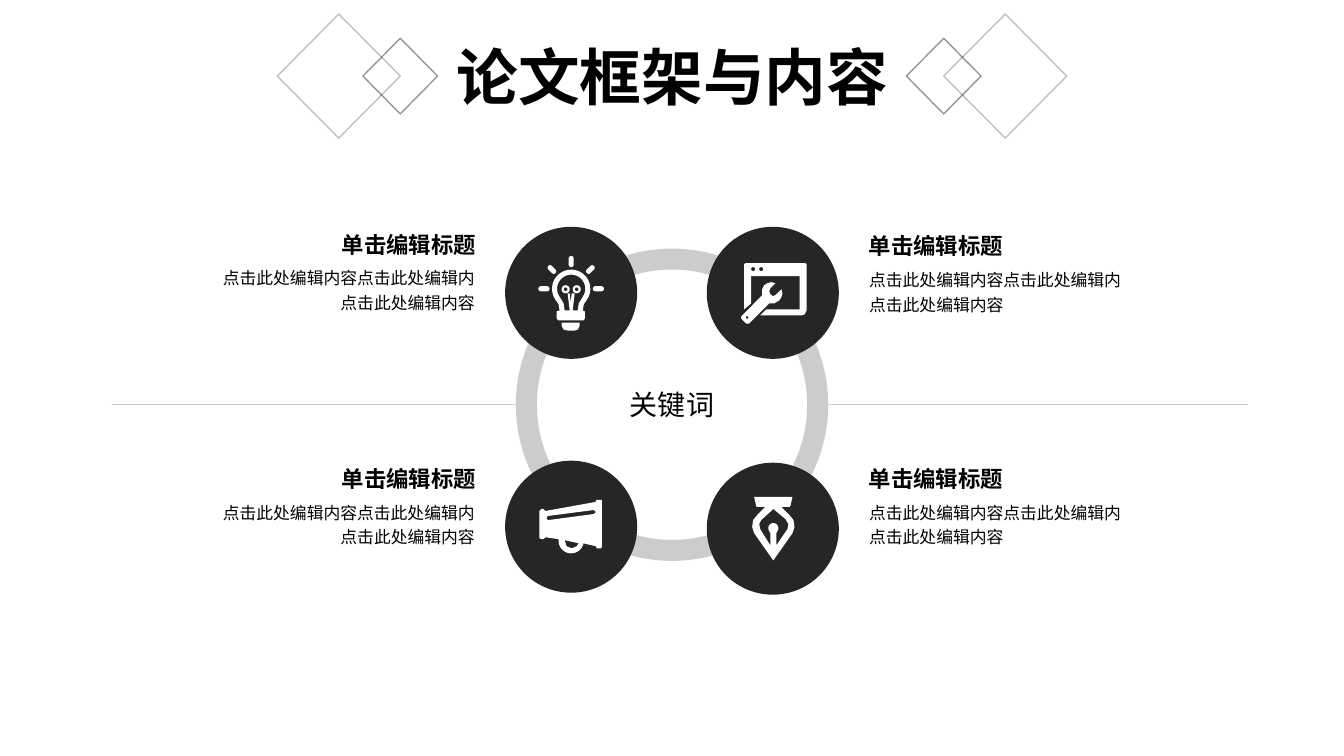
from dataclasses import dataclass
from math import atan2, cos, pi, radians, sin

from lxml import etree
from pptx import Presentation
from pptx.dml.color import RGBColor
from pptx.enum import shapes, text
from pptx.oxml import ns
from pptx.util import Inches, Pt

BLACK = RGBColor(0x00, 0x00, 0x00)
WHITE = RGBColor(0xFF, 0xFF, 0xFF)
DARK = RGBColor(0x26, 0x26, 0x26)
OUTLINE = RGBColor(0x1C, 0x1C, 0x1C)
GREY = RGBColor(0xCC, 0xCC, 0xCC)
PAGE_WIDTH, PAGE_HEIGHT = 13.33, 7.5
DISC = 1.31
TITLE_FONT, TEXT_FONT = "Noto Sans CJK SC", "Arial"
LEFT, CENTER, RIGHT = text.PP_ALIGN.LEFT, text.PP_ALIGN.CENTER, text.PP_ALIGN.RIGHT

Point = tuple[float, float]
Contour = list[Point]


@dataclass
class Diamond:
    left: float
    top: float
    width: float
    height: float
    opacity: int


@dataclass
class Topic:
    holder: int
    disc: Point
    heading_at: Point
    body_at: Point
    body_width: float
    align: text.PP_ALIGN
    icon: list[Contour]


# Icon geometry, in inches on the slide
def arc(x: float, y: float, radius: float, start: float = 0, end: float = 360) -> Contour:
    steps = 24
    angles = [radians(start + (end - start) * i / steps) for i in range(steps + 1)]
    return [(x + radius * cos(a), y + radius * sin(a)) for a in angles]


def capsule(x1: float, y1: float, x2: float, y2: float, radius: float = 0.025) -> Contour:
    turn = atan2(y2 - y1, x2 - x1) * 180 / pi
    return (arc(x1, y1, radius, turn + 90, turn + 270)
            + arc(x2, y2, radius, turn - 90, turn + 90))


def bulb_icon() -> list[Contour]:
    x, y = 5.665, 2.865
    rays = []
    for angle in range(180, 361, 45):
        dx, dy = cos(radians(angle)), sin(radians(angle))
        inner, outer = (0.24, 0.30) if angle % 90 == 0 else (0.245, 0.295)
        rays.append(capsule(x + inner * dx, y + inner * dy, x + outer * dx, y + outer * dy))
    glass = arc(x, y, 0.19, 145, 395) + [
        (5.79, 3.02), (5.78, 3.08), (5.8, 3.09), (5.8, 3.16), (5.79, 3.18),
        (5.54, 3.18), (5.52, 3.16), (5.52, 3.09), (5.55, 3.08), (5.54, 3.02)]
    hollow = arc(x, y, 0.14, 145, 395) + [
        (5.74, 3.01), (5.73, 3.08), (5.6, 3.08), (5.59, 3.01)]
    filament = [(5.63, 2.91), (5.65, 3.08), (5.68, 3.08), (5.7, 2.91),
                (5.67, 2.91), (5.66, 3.0), (5.65, 2.91)]
    loops = [arc(cx, 2.87, r) for cx in (5.61, 5.72) for r in (0.04, 0.018)]
    foot = [(5.57, 3.2), (5.75, 3.2), (5.75, 3.23), (5.73, 3.27),
            (5.7, 3.28), (5.63, 3.28), (5.59, 3.27), (5.57, 3.23)]
    return rays + [glass, hollow, filament, foot] + loops


def tool_icon() -> list[Contour]:
    window = [(7.38, 3.07), (7.38, 2.62), (7.4, 2.61), (7.98, 2.61), (8.0, 2.62),
              (8.0, 3.08), (7.98, 3.12), (7.95, 3.13), (7.54, 3.13), (7.6, 3.07),
              (7.93, 3.07), (7.93, 2.74), (7.45, 2.74), (7.45, 3.01)]
    wrench = [(7.73, 2.98), (7.75, 2.95), (7.76, 2.91), (7.75, 2.87), (7.7, 2.92),
              (7.67, 2.94), (7.64, 2.92), (7.63, 2.89), (7.64, 2.86), (7.69, 2.81),
              (7.65, 2.8), (7.61, 2.81), (7.58, 2.83), (7.56, 2.87), (7.56, 2.93),
              (7.35, 3.14), (7.35, 3.16), (7.4, 3.21), (7.43, 3.21), (7.63, 3.01),
              (7.68, 3.01)]
    buttons = [arc(x, 2.67, 0.02) for x in (7.47, 7.55)]
    return [window, wrench, arc(7.41, 3.15, 0.013)] + buttons


def megaphone_icon() -> list[Contour]:
    horn = [(5.97, 4.96), (5.91, 4.96), (5.91, 4.98), (5.41, 5.07), (5.39, 5.05),
            (5.37, 5.05), (5.35, 5.07), (5.35, 5.34), (5.37, 5.35), (5.39, 5.35),
            (5.41, 5.33), (5.54, 5.35)]
    horn += arc(5.665, 5.365, 0.125, 175, 12)
    horn += [(5.91, 5.42), (5.92, 5.44), (5.96, 5.44), (5.97, 5.43)]
    handle = [(5.6, 5.36), (5.74, 5.39), (5.72, 5.42), (5.67, 5.44), (5.62, 5.42)]
    slot = [(5.89, 5.1), (5.44, 5.16), (5.42, 5.15), (5.43, 5.12),
            (5.89, 5.06), (5.91, 5.08)]
    return [horn, handle, slot]


def pen_icon() -> list[Contour]:
    nib = [(7.75, 5.03), (7.83, 5.03), (7.84, 5.02), (7.86, 4.93), (7.48, 4.93),
           (7.5, 5.02), (7.51, 5.03), (7.59, 5.03), (7.51, 5.11), (7.47, 5.16),
           (7.46, 5.23), (7.48, 5.29), (7.67, 5.56), (7.86, 5.29), (7.88, 5.23),
           (7.87, 5.16), (7.83, 5.11)]
    hollow = [(7.81, 5.25), (7.7, 5.41), (7.7, 5.29), (7.71, 5.27)]
    hollow += arc(7.67, 5.24, 0.05, 30, -210)
    hollow += [(7.64, 5.29), (7.64, 5.41), (7.54, 5.25), (7.53, 5.2), (7.55, 5.16),
               (7.67, 5.05), (7.79, 5.15), (7.82, 5.2)]
    return [nib, hollow]


DIAMONDS = [Diamond(2.75, 0.14, 1.22, 1.23, 27), Diamond(3.6, 0.38, 0.74, 0.75, 46)]
TOPICS = [
    Topic(1, (5.01, 2.25), (3.27, 2.24), (0.92, 2.57), 3.89, RIGHT, bulb_icon()),
    Topic(2, (7.01, 2.25), (8.52, 2.25), (8.52, 2.59), 3.86, LEFT, tool_icon()),
    Topic(3, (5.01, 4.57), (3.27, 4.57), (0.92, 4.9), 3.89, RIGHT, megaphone_icon()),
    Topic(4, (7.01, 4.59), (8.52, 4.57), (8.52, 4.9), 3.86, LEFT, pen_icon()),
]


def place(box, left: float, top: float, width: float, height: float) -> None:
    box.left, box.top = Inches(left), Inches(top)
    box.width, box.height = Inches(width), Inches(height)


def write(box, lines: list[str], size: float, align, font: str = TEXT_FONT,
          bold: bool = False, wrap: bool = True, spacing: float = 1.0,
          anchor=text.MSO_ANCHOR.TOP, grow: bool = True) -> None:
    frame = box.text_frame
    frame.word_wrap = wrap
    frame.vertical_anchor = anchor
    if grow:
        frame.auto_size = text.MSO_AUTO_SIZE.SHAPE_TO_FIT_TEXT
    for i, line in enumerate(lines):
        para = frame.add_paragraph() if i else frame.paragraphs[0]
        para.alignment, para.line_spacing = align, spacing
        para.space_before = para.space_after = Pt(0)
        layout = para._p.get_or_add_pPr()
        layout.set("marL", "0")
        layout.set("indent", "0")
        etree.SubElement(layout, ns.qn("a:buNone"))
        span = para.add_run()
        span.text = line
        span.font.name, span.font.size, span.font.bold = font, Pt(size), bold
        span.font.color.rgb = BLACK
        etree.SubElement(span._r.get_or_add_rPr(), ns.qn("a:ea"), typeface=font)


def add_preset(page, kind, left: float, top: float, width: float, height: float,
               fill=None, line=None, weight: float = 1):
    shape = page.shapes.add_shape(kind, Inches(left), Inches(top),
                                  Inches(width), Inches(height))
    paint(shape, fill, line, weight)
    return shape


def paint(shape, fill=None, line=None, weight: float = 1) -> None:
    shape.shadow.inherit = False
    for target, color in ((shape.fill, fill), (shape.line.fill, line)):
        if color is None:
            target.background()
        else:
            target.solid()
            target.fore_color.rgb = color
    if line is not None:
        shape.line.width = Pt(weight)


def add_diamond(page, item: Diamond, left: float) -> None:
    shape = add_preset(page, shapes.MSO_SHAPE.DIAMOND, left, item.top,
                       item.width, item.height, line=OUTLINE)
    color = shape.line._ln.find(".//" + ns.qn("a:srgbClr"))
    etree.SubElement(color, ns.qn("a:alpha"), val=str(item.opacity * 1000))


def add_icon(page, contours: list[Contour]) -> None:
    outlines = [[(Inches(x), Inches(y)) for x, y in contour] for contour in contours]
    builder = page.shapes.build_freeform(*outlines[0][0])
    for i, outline in enumerate(outlines):
        if i:
            builder.move_to(*outline[0])
        builder.add_line_segments(outline[1:], close=True)
    paint(builder.convert_to_shape(), WHITE)


def add_topic(page, topic: Topic) -> None:
    add_preset(page, shapes.MSO_SHAPE.OVAL, *topic.disc, DISC, DISC, fill=DARK)
    add_icon(page, topic.icon)
    body = page.placeholders[topic.holder]
    place(body, *topic.body_at, topic.body_width, 0.56)
    write(body, ["点击此处编辑内容点击此处编辑内", "点击此处编辑内容"], 12, topic.align, spacing=1.2)
    heading = page.shapes.add_textbox(0, 0, 0, 0)
    place(heading, *topic.heading_at, 1.55, 0.37)
    write(heading, ["单击编辑标题"], 16, topic.align, bold=True, wrap=False)


def main() -> None:
    deck = Presentation()
    deck.slide_width, deck.slide_height = Inches(PAGE_WIDTH), Inches(PAGE_HEIGHT)
    page = deck.slides.add_slide(deck.slide_layouts[4])

    # Title between mirrored diamonds
    for item in DIAMONDS:
        for left in (item.left, PAGE_WIDTH - item.left - item.width):
            add_diamond(page, item, left)
    place(page.shapes.title, 4.3, 0.34, 4.74, 0.84)
    write(page.shapes.title, ["论文框架与内容"], 44, CENTER, font=TITLE_FONT, bold=True)

    # Divider and keyword ring
    divider = page.shapes.add_connector(shapes.MSO_CONNECTOR.STRAIGHT, Inches(1.11),
                                        Inches(4.01), Inches(12.38), Inches(4.01))
    divider.line.color.rgb, divider.line.width = GREY, Pt(0.5)
    etree.SubElement(divider._element.spPr, ns.qn("a:effectLst"))
    ring = add_preset(page, shapes.MSO_SHAPE.OVAL, 5.22, 2.57, 2.89, 2.89, WHITE, GREY, 15)
    write(ring, ["关键词"], 20, CENTER, anchor=text.MSO_ANCHOR.MIDDLE, grow=False)

    # Four topics around the ring
    for topic in TOPICS:
        add_topic(page, topic)
    deck.save("out.pptx")


if __name__ == "__main__":
    main()
